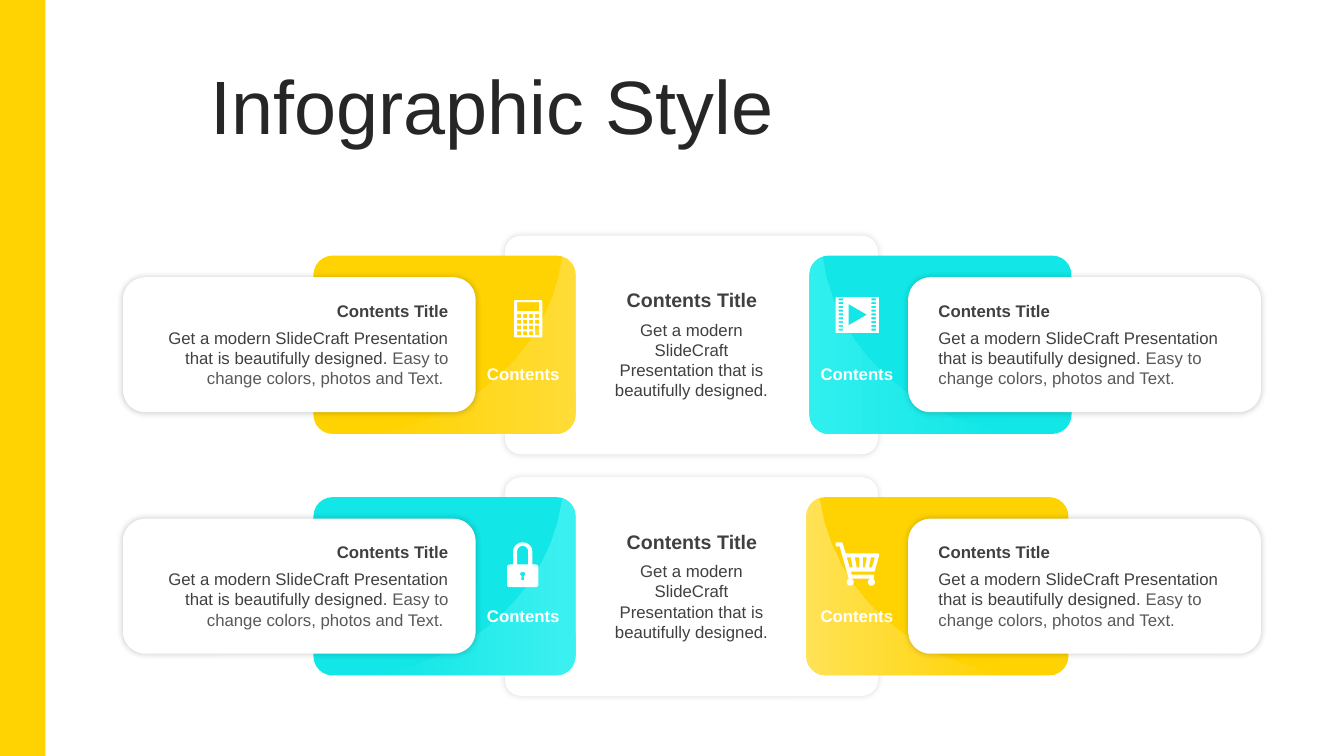
from dataclasses import dataclass

import lxml.etree
import pptx
import pptx.dml.color
import pptx.enum.shapes
import pptx.enum.text
import pptx.oxml.ns
import pptx.util

Pt = pptx.util.Pt
RGB = pptx.dml.color.RGBColor.from_string
Align = pptx.enum.text.PP_ALIGN
Shape = pptx.enum.shapes.MSO_SHAPE
# A path step is a point (x, y) or a cubic curve (x1, y1, x2, y2, x, y)
Path = list[tuple[float, ...]]


@dataclass(frozen=True)
class Theme:
    font: str = "Arial"
    yellow: str = "FFD302"
    cyan: str = "12E6E6"
    white: str = "FFFFFF"
    heading: str = "262626"
    dark: str = "404040"
    grey: str = "595959"
    title_size: float = 54
    panel_size: float = 14
    body_size: float = 12
    grid: float = 0.72  # points per unit of the icon and gloss outlines


@dataclass(frozen=True)
class Span:
    text: str
    size: float
    color: str
    bold: bool = False


@dataclass(frozen=True)
class Tab:
    left: float
    color: str
    gloss: str
    icon: list[Path]
    icon_left: float
    icon_top: float


@dataclass(frozen=True)
class Side:
    card_left: float
    text_left: float
    label_left: float
    align: Align
    mirrored: bool
    closing: str


THEME = Theme()
ROW_STEP = 172.5
TAB_WIDTH = 187.2
INTRO = "Get a modern SlideCraft Presentation that is beautifully designed. "
CLOSING = "Easy to change colors, photos and Text."
SIDES = (
    Side(87.8, 98.6, 339.1, Align.RIGHT, True, CLOSING + " "),
    Side(648.7, 661.7, 577.4, Align.LEFT, False, CLOSING),
)


# Outlines
def rect(left: float, top: float, width: float, height: float) -> Path:
    right, bottom = left + width, top + height
    return [(left, top), (right, top), (right, bottom), (left, bottom)]


def round_rect(left: float, top: float, width: float, height: float, r: float) -> Path:
    right, bottom = left + width, top + height
    return [
        (left + r, top), (right - r, top), (right, top, right, top, right, top + r),
        (right, bottom - r), (right, bottom, right, bottom, right - r, bottom),
        (left + r, bottom), (left, bottom, left, bottom, left, bottom - r),
        (left, top + r), (left, top, left, top, left + r, top),
    ]


def wheel(x: float, y: float, r: float) -> Path:
    k = 0.55 * r
    return [
        (x, y - r), (x + k, y - r, x + r, y - k, x + r, y),
        (x + r, y + k, x + k, y + r, x, y + r),
        (x - k, y + r, x - r, y + k, x - r, y),
        (x - r, y - k, x - k, y - r, x, y - r),
    ]


def flatten(path: Path, steps: int = 12) -> list[tuple[float, float]]:
    points = [path[0]]
    for step in path[1:]:
        if len(step) == 2:
            points.append(step)
            continue
        x0, y0 = points[-1]
        x1, y1, x2, y2, x3, y3 = step
        for i in range(1, steps + 1):
            t = i / steps
            a, b, c, d = (1 - t) ** 3, 3 * t * (1 - t) ** 2, 3 * t * t * (1 - t), t ** 3
            points.append((a * x0 + b * x1 + c * x2 + d * x3,
                           a * y0 + b * y1 + c * y2 + d * y3))
    return points


GLOSS = [(13, 0), (6, 2, 0, 9, 0, 17), (0, 156), (0, 167, 9, 175.5, 20, 175.5),
         (205, 175.5), (104, 164, 25, 92, 13, 0)]
KEYS = [rect(3 + 6 * col, 14 + 5.7 * row, 4, 3.5)
        for row in range(4) for col in range(4) if col < 3 or row < 2]
CALCULATOR = [round_rect(0, 0, 28, 37, 3), round_rect(3, 2, 22, 9, 1.5),
              *KEYS, rect(21, 25.4, 4, 9.2)]
FILM = [rect(0, 0, 43, 35.5), [(13, 7), (13, 28), (31, 17.5)],
        *[rect(x, 1.3 + 3.75 * i, 4.5, 2) for x in (3, 35.5) for i in range(9)]]
LOCK = [
    [(15.5, 0), (20.5, 0, 25, 4, 25, 9), (25, 22), (28, 22), (30, 22, 31, 23, 31, 24.5),
     (31, 42), (31, 43.5, 30, 44.5, 28, 44.5), (3, 44.5), (1, 44.5, 0, 43.5, 0, 42),
     (0, 24.5), (0, 23, 1, 22, 3, 22), (6, 22), (6, 9), (6, 4, 10.5, 0, 15.5, 0)],
    [(15.5, 3.5), (12.5, 3.5, 10, 6, 10, 9), (10, 22), (21, 22), (21, 9),
     (21, 6, 18.5, 3.5, 15.5, 3.5)],
    [(15.5, 29.5), (14, 29.5, 13, 30, 13, 31.5), (13, 32.5, 14, 33, 14.5, 33.5),
     (14, 37.5), (17, 37.5), (16.5, 33.5), (17, 33, 18, 32.5, 18, 31.5),
     (18, 30, 17, 29.5, 15.5, 29.5)],
]
CART = [
    [(0, 0), (6.5, 0), (10, 11), (41, 11), (43, 11, 43.5, 12, 43, 13.5), (39, 28),
     (38.5, 29, 38, 29, 37, 29), (15, 29), (16, 32), (38, 32), (38, 36), (13, 36), (4, 4), (0, 4)],
    [(35, 15), (33, 25), (36, 25), (39, 15)],
    [(27, 15), (27, 25), (29, 25), (31, 15)],
    [(19, 15), (21, 25), (23.5, 25), (23.5, 15)],
    [(11, 15), (14, 25), (17, 25), (15, 15)],
    wheel(14.5, 39.5, 3.5), wheel(35.5, 39.5, 3.5),
]
ROWS = (
    (Tab(223.9, THEME.yellow, "FFDC37", CALCULATOR, 367.2, 214.4),
     Tab(578.2, THEME.cyan, "30EFEF", FILM, 596.9, 212.2)),
    (Tab(223.9, THEME.cyan, "3DF0F0", LOCK, 362.2, 387.4),
     Tab(576, THEME.yellow, "FFE255", CART, 596.9, 387.4)),
)


# Drawing
def add_panel(page, kind: Shape, left: float, top: float, width: float, height: float,
              color: str, corner: float = 0, shade: int = 0) -> None:
    panel = page.shapes.add_shape(kind, Pt(left), Pt(top), Pt(width), Pt(height))
    panel.shadow.inherit = False
    panel.fill.solid()
    panel.fill.fore_color.rgb = RGB(color)
    panel.line.fill.background()
    if corner:
        panel.adjustments[0] = corner
    if shade:
        qn = pptx.oxml.ns.qn
        effects = panel._element.spPr.find(qn("a:effectLst"))
        shadow = lxml.etree.SubElement(effects, qn("a:outerShdw"), blurRad=str(Pt(5)),
                                       dist="0", algn="ctr", rotWithShape="0")
        tone = lxml.etree.SubElement(shadow, qn("a:srgbClr"), val="000000")
        lxml.etree.SubElement(tone, qn("a:alpha"), val=str(shade * 1000))


def add_outline(page, paths: list[Path], left: float, top: float, mirrored: bool = False):
    unit = -THEME.grid if mirrored else THEME.grid
    contours = [[(Pt(left + x * unit), Pt(top + y * THEME.grid)) for x, y in flatten(path)]
                for path in paths]
    builder = page.shapes.build_freeform(*contours[0][0], scale=1.0)
    for index, points in enumerate(contours):
        if index:
            builder.move_to(*points[0])
        builder.add_line_segments(points[1:], close=True)
    outline = builder.convert_to_shape()
    outline.shadow.inherit = False
    outline.line.fill.background()
    return outline


def add_text(page, left: float, top: float, width: float, height: float,
             spans: list[Span], align: Align, inset: float = 8.64):
    box = page.shapes.add_textbox(Pt(left), Pt(top), Pt(width), Pt(height))
    frame = box.text_frame
    frame.word_wrap = True
    frame.margin_left = frame.margin_right = Pt(inset)
    frame.margin_top = frame.margin_bottom = Pt(3.6)
    para = frame.paragraphs[0]
    para.alignment = align
    for span in spans:
        run = para.add_run()
        run.text = span.text
        run.font.name, run.font.size, run.font.bold = THEME.font, Pt(span.size), span.bold
        run.font.color.rgb = RGB(span.color)
    return frame


def add_side(page, tab: Tab, side: Side, shift: float) -> None:
    # Coloured tab with its gloss
    add_panel(page, Shape.ROUNDED_RECTANGLE, tab.left, 182.6 + shift, TAB_WIDTH, 127.4,
              tab.color, 0.108)
    edge = tab.left + TAB_WIDTH if side.mirrored else tab.left
    gloss = add_outline(page, [GLOSS], edge, 183.6 + shift, side.mirrored)
    gloss.fill.gradient()
    gloss.fill.gradient_angle = 180 if side.mirrored else 0
    for stop, color, position in zip(gloss.fill.gradient_stops, (tab.gloss, tab.color), (0, 0.94)):
        stop.color.rgb = RGB(color)
        stop.position = position
    # White card
    add_panel(page, Shape.ROUNDED_RECTANGLE, side.card_left, 198 + shift, 252, 96.5,
              THEME.white, shade=22)
    size = THEME.body_size
    add_text(page, side.text_left, 230.4 + shift, 230.4, 51.1,
             [Span(INTRO, size, THEME.dark), Span(side.closing, size, THEME.grey)], side.align)
    add_text(page, side.text_left, 211 + shift, 230.4, 21.6,
             [Span("Contents Title", size, THEME.dark, True)], side.align)
    # Tab label and icon
    add_text(page, side.label_left, 256.3 + shift, 72.7, 21.6,
             [Span("Contents ", size, THEME.white, True)], Align.CENTER)
    icon = add_outline(page, tab.icon, tab.icon_left, tab.icon_top)
    icon.fill.solid()
    icon.fill.fore_color.rgb = RGB(THEME.white)


def main() -> None:
    deck = pptx.Presentation()
    deck.slide_width, deck.slide_height = Pt(960), Pt(540)
    page = deck.slides.add_slide(deck.slide_layouts[6])
    # Side band and heading
    add_panel(page, Shape.RECTANGLE, 0, 0, 32.4, 540, THEME.yellow)
    heading = add_text(page, 143.3, 50.4, 787, 56.9,
                       [Span("Infographic Style", THEME.title_size, THEME.heading)], Align.LEFT, 7.2)
    heading.vertical_anchor = pptx.enum.text.MSO_ANCHOR.MIDDLE
    heading.paragraphs[0].line_spacing = 0.9
    # Rows: centre panel, then both sides
    for index, tabs in enumerate(ROWS):
        shift = index * ROW_STEP
        add_panel(page, Shape.ROUNDED_RECTANGLE, 360.7, 168.4 + shift, 266.4, 156.2,
                  THEME.white, 0.073, 14)
        for tab, side in zip(tabs, SIDES):
            add_side(page, tab, side, shift)
        add_text(page, 428.8, 202.3 + shift, 131, 24.5,
                 [Span("Contents Title", THEME.panel_size, THEME.dark, True)], Align.CENTER)
        add_text(page, 429.5, 224.6 + shift, 128.9, 65.5,
                 [Span(INTRO, THEME.body_size, THEME.dark)], Align.CENTER)
    deck.save("out.pptx")


if __name__ == "__main__":
    main()
